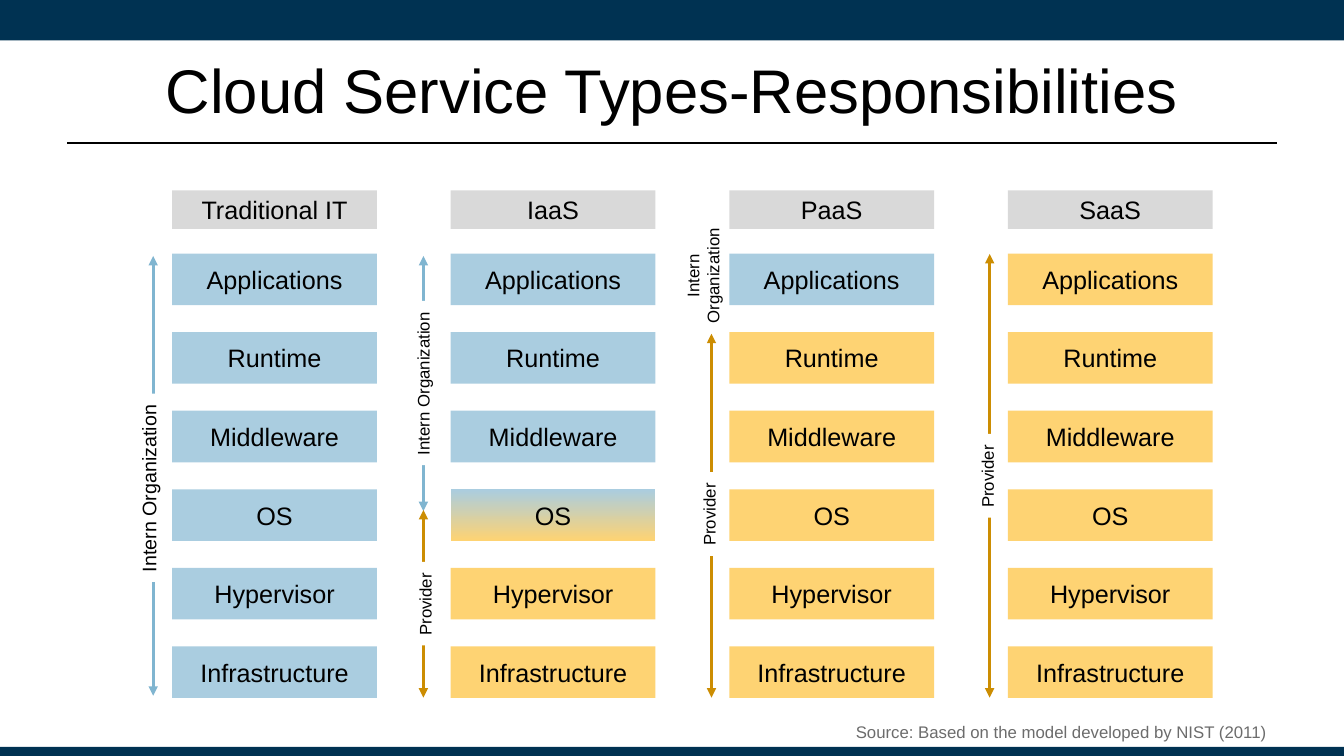
from pptx import Presentation
from pptx.dml.color import RGBColor
from pptx.enum.shapes import MSO_CONNECTOR, MSO_SHAPE
from pptx.enum.text import MSO_ANCHOR, MSO_AUTO_SIZE, PP_ALIGN
from pptx.oxml.ns import qn
from pptx.util import Cm, Pt
from lxml import etree

RECT = MSO_SHAPE.RECTANGLE
LINE = MSO_CONNECTOR.STRAIGHT
MIDDLE, BOTTOM, TOP = MSO_ANCHOR.MIDDLE, MSO_ANCHOR.BOTTOM, MSO_ANCHOR.TOP
LEFT, CENTER, RIGHT = PP_ALIGN.LEFT, PP_ALIGN.CENTER, PP_ALIGN.RIGHT

NAVY = RGBColor(0x00, 0x32, 0x52)
BLACK = RGBColor(0x00, 0x00, 0x00)
WHITE = RGBColor(0xFF, 0xFF, 0xFF)
SILVER = RGBColor(0xD9, 0xD9, 0xD9)
GRAY = RGBColor(0x6C, 0x6C, 0x6C)
BLUE = RGBColor(0xAA, 0xCD, 0xE0)
GOLD = RGBColor(0xFE, 0xD3, 0x73)
STEEL = RGBColor(0x80, 0xB5, 0xD0)
OCHRE = RGBColor(0xCC, 0x8D, 0x02)

TITLE = "Cloud Service Types-Responsibilities"
SOURCE = "Source: Based on the model developed by NIST (2011)"
LAYERS = ["Applications", "Runtime", "Middleware", "OS", "Hypervisor", "Infrastructure"]
OWNERS = {"I": [BLUE], "P": [GOLD], "S": [BLUE, GOLD]}
MODELS = [
    ("Traditional IT", "IIIIII"),
    ("IaaS", "IIISPP"),
    ("PaaS", "IPPPPP"),
    ("SaaS", "PPPPPP"),
]
# x, top, bottom, colour
ARROWS = [
    (3.86, 6.45, 17.53, STEEL),
    (10.67, 6.45, 12.88, STEEL),
    (10.67, 12.85, 17.58, OCHRE),
    (17.93, 8.41, 17.58, OCHRE),
    (24.94, 6.4, 17.58, OCHRE),
]
# text, centre x, centre y, length, depth, size, alignment
LABELS = [
    ("Intern Organization", 3.75, 12.29, 4.75, 0.86, 14, LEFT),
    ("Provider", 10.71, 15.21, 2.11, 0.76, 12, LEFT),
    ("Intern Organization", 10.66, 9.65, 4.14, 0.76, 12, LEFT),
    ("Provider", 17.87, 12.95, 2.11, 0.76, 12, LEFT),
    ("Provider", 24.88, 11.99, 2.11, 0.76, 12, LEFT),
    ("Intern\vOrganization", 17.67, 6.95, 2.57, 1.19, 12, CENTER),
]

WIDE, HIGH = 33.87, 19.05
EDGE, SPAN = 1.7, 30.48
COL_X, COL_STEP, BOX_W = 4.34, 7.02, 5.16
ROW_Y, ROW_STEP, BOX_H = 6.39, 1.98, 1.3
HEAD_Y, HEAD_H = 4.8, 0.97

deck = Presentation()
deck.slide_width, deck.slide_height = Cm(WIDE), Cm(HIGH)
slide = deck.slides.add_slide(deck.slide_layouts[5])
shapes = slide.shapes


def write(shape, text, size, color=BLACK, align=CENTER, anchor=MIDDLE, wrap=True):
    frame = shape.text_frame
    frame.text = text
    frame.auto_size = MSO_AUTO_SIZE.NONE
    frame.word_wrap = wrap
    frame.vertical_anchor = anchor
    para = frame.paragraphs[0]
    para.alignment = align
    para.font.name = "Arial"
    para.font.size = Pt(size)
    para.font.color.rgb = color


def add_box(x, y, w, h, colors):
    box = shapes.add_shape(RECT, Cm(x), Cm(y), Cm(w), Cm(h))
    box.shadow.inherit = False
    box.line.fill.background()
    if len(colors) == 1:
        box.fill.solid()
        box.fill.fore_color.rgb = colors[0]
    else:
        box.fill.gradient()
        box.fill.gradient_angle = 270
        for stop, color in zip(box.fill.gradient_stops, colors):
            stop.color.rgb = color
    return box


def add_line(x1, y1, x2, y2, color, width, heads=()):
    line = shapes.add_connector(LINE, Cm(x1), Cm(y1), Cm(x2), Cm(y2))
    line.line.color.rgb = color
    line.line.width = Pt(width)
    for head in heads:
        etree.SubElement(line.line._get_or_add_ln(), qn(head)).set("type", "triangle")
    etree.SubElement(line._element.spPr, qn("a:effectLst"))


add_box(0, 0, WIDE, 1.02, [NAVY])
add_box(0, 18.82, WIDE, HIGH - 18.82, [NAVY])
add_line(EDGE, 3.61, EDGE + SPAN, 3.61, BLACK, 1.25)

title = shapes.title
title.left, title.top, title.width, title.height = Cm(EDGE), Cm(0.64), Cm(SPAN), Cm(3.18)
write(title, TITLE, 44)

note = shapes.add_textbox(Cm(21.01), Cm(18.06), Cm(11.17), Cm(0.76))
write(note, SOURCE, 12, GRAY, RIGHT, BOTTOM)

for col, (model, owners) in enumerate(MODELS):
    x = COL_X + col * COL_STEP
    write(add_box(x, HEAD_Y, BOX_W, HEAD_H, [SILVER]), model, 18)
    for row, (layer, owner) in enumerate(zip(LAYERS, owners)):
        box = add_box(x, ROW_Y + row * ROW_STEP, BOX_W, BOX_H, OWNERS[owner])
        write(box, layer, 18)

for x, top, end, color in ARROWS:
    add_line(x, top, x, end, color, 2.25, ("a:headEnd", "a:tailEnd"))

for text, x, y, w, h, size, align in LABELS:
    label = add_box(x - w / 2, y - h / 2, w, h, [WHITE])
    label.rotation = 270
    write(label, text, size, align=align, anchor=TOP, wrap=False)
    if align == CENTER:
        label.text_frame.margin_left = label.text_frame.margin_right = 0

deck.save("out.pptx")
